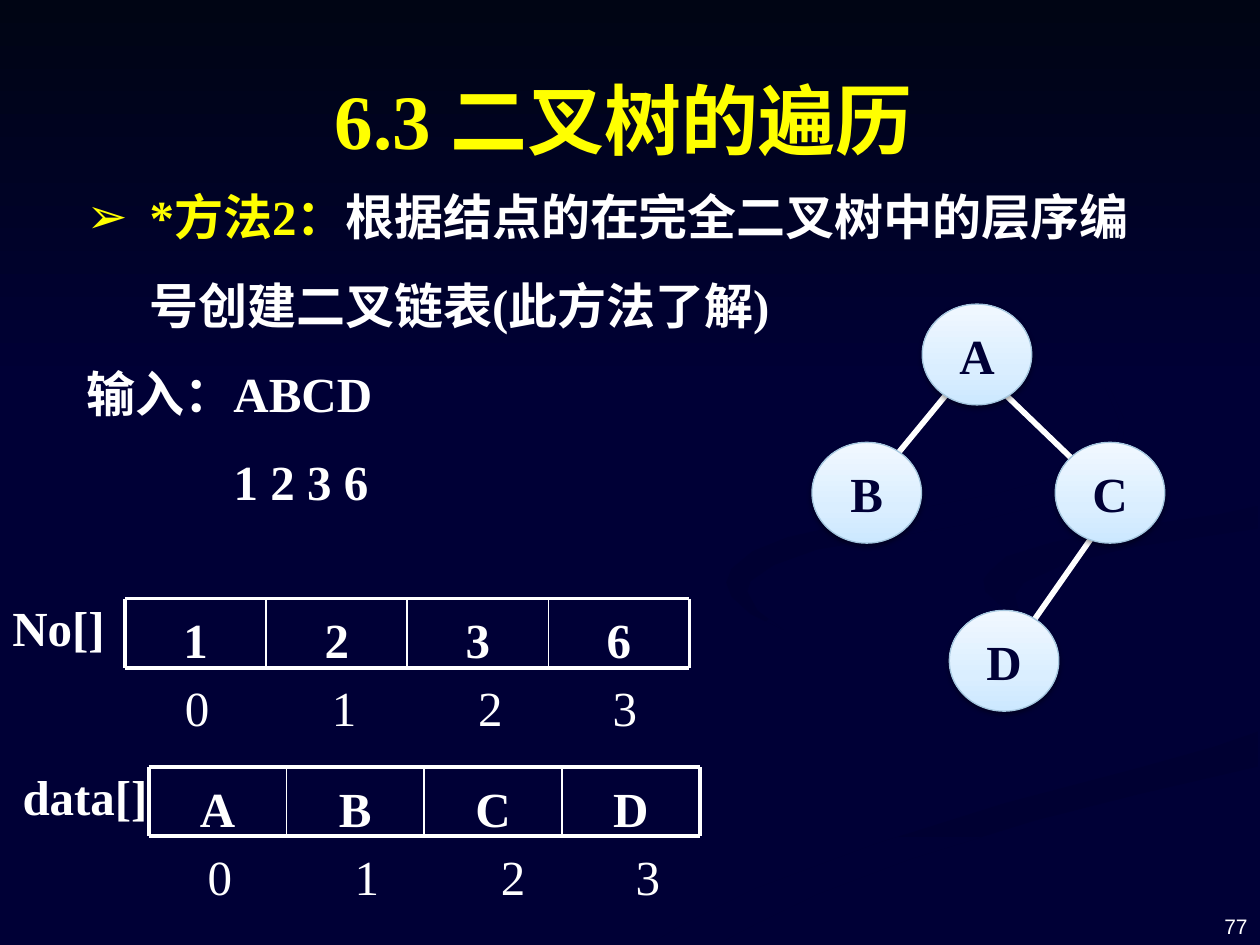
from lxml import etree
from pptx import Presentation
from pptx.dml.color import RGBColor
from pptx.enum.shapes import MSO_CONNECTOR, MSO_SHAPE
from pptx.enum.text import MSO_ANCHOR, PP_ALIGN
from pptx.oxml.ns import qn
from pptx.util import Pt

STRAIGHT = MSO_CONNECTOR.STRAIGHT
OVAL, RECTANGLE = MSO_SHAPE.OVAL, MSO_SHAPE.RECTANGLE
TOP, MIDDLE, BOTTOM = MSO_ANCHOR.TOP, MSO_ANCHOR.MIDDLE, MSO_ANCHOR.BOTTOM
LEFT, CENTER, RIGHT = PP_ALIGN.LEFT, PP_ALIGN.CENTER, PP_ALIGN.RIGHT

NAVY, WHITE, YELLOW = "000036", "FFFFFF", "FFFF00"
BODY = {"name": "Times New Roman", "size": Pt(28), "bold": True}
PLAIN = {**BODY, "bold": False}
TITLE = {**BODY, "size": Pt(44)}
NUMBER = {"name": "Arial", "size": Pt(12), "bold": False}
INDEX_TABS = (84, 167.5, 244.5)
NODE_WIDTH, NODE_HEIGHT = 62.6, 57.6
ROW_HEIGHT = 39.6

SWIRLS = [
    (("000036", "000034"), 0, [
        (562, 398), (526, 383), (491, 374), (451, 361), (428, 349), (415, 338),
        (414, 330), (410, 340), (415, 346), (440, 360), (489, 374), (524, 385),
        (559, 398), (566, 407), (560, 417), (539, 428), (503, 438), (443, 452),
        (359, 475), (300, 497), (243, 523), (216, 539), (260, 539), (310, 514),
        (383, 485), (449, 466), (519, 449), (562, 436), (574, 423), (576, 418),
        (573, 408)]),
    (("000036", "000034"), 45, [
        (679, 410), (676, 404), (662, 394), (639, 385), (598, 374), (557, 362),
        (536, 353), (526, 345), (521, 334), (523, 345), (532, 356), (551, 369),
        (587, 382), (625, 392), (648, 401), (659, 411), (660, 421), (653, 430),
        (644, 436), (666, 427), (677, 418)]),
    (("000032", "000036"), 90, [
        (374, 538), (362, 539), (411, 539), (432, 528), (467, 511), (520, 491),
        (591, 469), (650, 454), (719, 438), (719, 418), (693, 427), (650, 439),
        (574, 459), (501, 482), (431, 508), (391, 528)]),
    (("000033", "000036"), 45, [
        (562, 331), (563, 338), (574, 348), (595, 357), (582, 348), (580, 340),
        (585, 333), (607, 323), (645, 313), (699, 305), (719, 302), (719, 289),
        (696, 294), (647, 301), (601, 310), (575, 318), (566, 326)]),
    (("000032", "000036"), 45, [
        (492, 310), (550, 300), (594, 289), (624, 276), (640, 261), (643, 241),
        (634, 221), (615, 204), (591, 188), (568, 176), (549, 168), (580, 183),
        (609, 201), (631, 220), (640, 241), (638, 251), (626, 263), (606, 272),
        (570, 282), (507, 294), (450, 307), (430, 315), (418, 325), (415, 333),
        (418, 341), (429, 351), (448, 360), (433, 349), (427, 338), (429, 332),
        (442, 323), (467, 314)]),
]


def color(value):
    return RGBColor.from_string(value)


def element(parent, tag, **values):
    return etree.SubElement(parent, qn(tag), {key: str(value) for key, value in values.items()})


def apply(target, values):
    for name, value in values.items():
        setattr(target, name, value)


def add_span(para, text, font, shade):
    span = para.add_run()
    span.text = text
    apply(span.font, font)
    span.font.color.rgb = color(shade)


def add_text(page, bounds, text, font, shade=WHITE, align=LEFT, anchor=TOP, spacing=1.0, wrap=True):
    box = page.shapes.add_textbox(*map(Pt, bounds))
    apply(box.text_frame, {"word_wrap": wrap, "vertical_anchor": anchor})
    para = box.text_frame.paragraphs[0]
    apply(para, {"alignment": align, "line_spacing": spacing})
    if text:
        add_span(para, text, font, shade)
    return box


def set_gradient(shape, stops, angle):
    shape.fill.gradient()
    shape.fill.gradient_angle = (360 - angle) % 360
    stop_list = shape._element.spPr.find(qn("a:gradFill")).find(qn("a:gsLst"))
    stop_list.clear()
    for position, shade in stops:
        stop = element(stop_list, "a:gs", pos=position * 1000)
        element(stop, "a:srgbClr", val=shade)


def add_backdrop(page):
    page.background.fill.solid()
    page.background.fill.fore_color.rgb = color(NAVY)
    for (first, last), angle, points in SWIRLS:
        builder = page.shapes.build_freeform(*points[0], scale=Pt(1))
        builder.add_line_segments(points[1:], close=True)
        finish_backdrop(builder.convert_to_shape(), first, last, angle)
    band = page.shapes.add_shape(RECTANGLE, 0, 0, Pt(720), Pt(222))
    finish_backdrop(band, "000514", NAVY, 90)


def finish_backdrop(shape, first, last, angle):
    set_gradient(shape, [(0, first), (100, last)], angle)
    shape.line.fill.background()
    shape.shadow.inherit = False


def add_line(page, start, end, width):
    line = page.shapes.add_connector(STRAIGHT, *map(Pt, start + end))
    line.line.color.rgb = color(WHITE)
    line.line.width = Pt(width)
    element(line._element.spPr, "a:effectLst")


def add_node(page, label, left, top):
    node = page.shapes.add_shape(OVAL, Pt(left), Pt(top), Pt(NODE_WIDTH), Pt(NODE_HEIGHT))
    set_gradient(node, [(0, "CCE8FF"), (35, "DAEEFF"), (100, "F1F8FF")], 270)
    node.line.color.rgb = color("A5C6DE")
    node.line.width = Pt(0.75)
    node.shadow.inherit = False
    effects = node._element.spPr.find(qn("a:effectLst"))
    shadow = element(effects, "a:outerShdw", blurRad=Pt(3.1), dist=Pt(1.6), dir=90 * 60000, rotWithShape=0)
    element(element(shadow, "a:srgbClr", val="000000"), "a:alpha", val=38000)
    node.text_frame.vertical_anchor = MIDDLE
    para = node.text_frame.paragraphs[0]
    para.alignment = CENTER
    add_span(para, label, BODY, NAVY)


def add_body(page):
    box = add_text(page, (42.5, 86.4, 612, 211), "", BODY, spacing=1.5)
    method = box.text_frame.paragraphs[0]
    props = method._p.get_or_add_pPr()
    props.set("marL", str(Pt(36)))
    props.set("indent", str(Pt(-36)))
    element(props, "a:buFont", typeface="Arial")
    element(props, "a:buChar", char="➢")
    add_span(method, "*方法2：", BODY, YELLOW)
    add_span(method, "根据结点的在完全二叉树中的层序编号创建二叉链表(此方法了解)", BODY, WHITE)
    for text, margin in (("输入：ABCD", 0), ("1 2 3 6", 84)):
        para = box.text_frame.add_paragraph()
        para.line_spacing = 1.5
        para._p.get_or_add_pPr().set("marL", str(Pt(margin)))
        add_span(para, text, BODY, WHITE)


def add_array(page, name, name_bounds, values, left, top, width, index_left):
    bottom, right = top + ROW_HEIGHT, left + width
    step = width / len(values)
    for position, value in enumerate(values):
        cell = add_text(page, (left + position * step, top, step, 40.3), value, BODY, align=CENTER)
        cell.text_frame.margin_top = Pt(6.5)
    for level in (top, bottom):
        add_line(page, (left, level), (right, level), 2.25)
    for position in range(len(values) + 1):
        across = left + position * step
        thickness = 2.25 if position in (0, len(values)) else 1
        add_line(page, (across, top), (across, bottom), thickness)
    indexes = add_text(page, (index_left, top + 41.8, 285, 41), "", PLAIN)
    para = indexes.text_frame.paragraphs[0]
    tabs = element(para._p.get_or_add_pPr(), "a:tabLst")
    for stop in INDEX_TABS:
        element(tabs, "a:tab", pos=Pt(stop), algn="l")
    add_span(para, "\t".join(map(str, range(len(values)))), PLAIN, WHITE)
    add_text(page, name_bounds, name, BODY, wrap=False)


def main():
    deck = Presentation()
    apply(deck, {"slide_width": Pt(720), "slide_height": Pt(540)})
    page = deck.slides.add_slide(deck.slide_layouts[6])
    add_backdrop(page)
    add_text(page, (552, 502.5, 168, 37.5), "77", NUMBER, align=RIGHT, anchor=BOTTOM)
    add_text(page, (32.4, 11.5, 648, 77), "6.3 二叉树的遍历", TITLE, YELLOW, CENTER, spacing=1.5)
    for start, end in (((551.5, 212.4), (504.7, 269.3)),
                       ((560.9, 212.4), (634.3, 283)),
                       ((640.8, 283), (578.9, 371.5))):
        add_line(page, start, end, 3.25)
    for label, left, top in (("A", 527, 173.8), ("B", 464, 252.8),
                             ("C", 603, 252.8), ("D", 542.5, 348.8)):
        add_node(page, label, left, top)
    add_body(page)
    add_array(page, "No[]", (0, 338, 68, 41), "1236", 71.5, 342, 322.5, 98.6)
    add_array(page, "data[]", (5.8, 434.2, 86, 41), "ABCD", 85, 438.3, 314.8, 111.6)
    deck.save("out.pptx")


if __name__ == "__main__":
    main()
